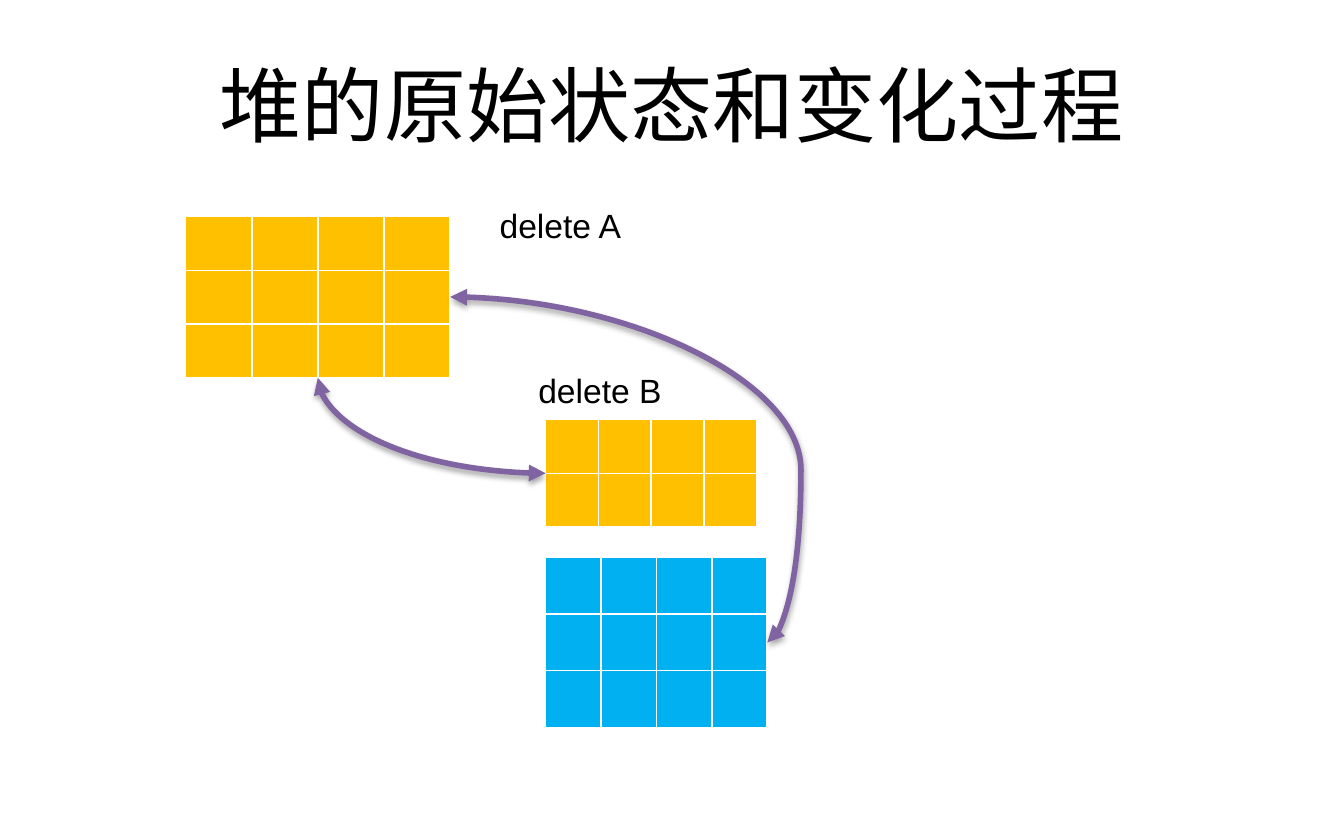
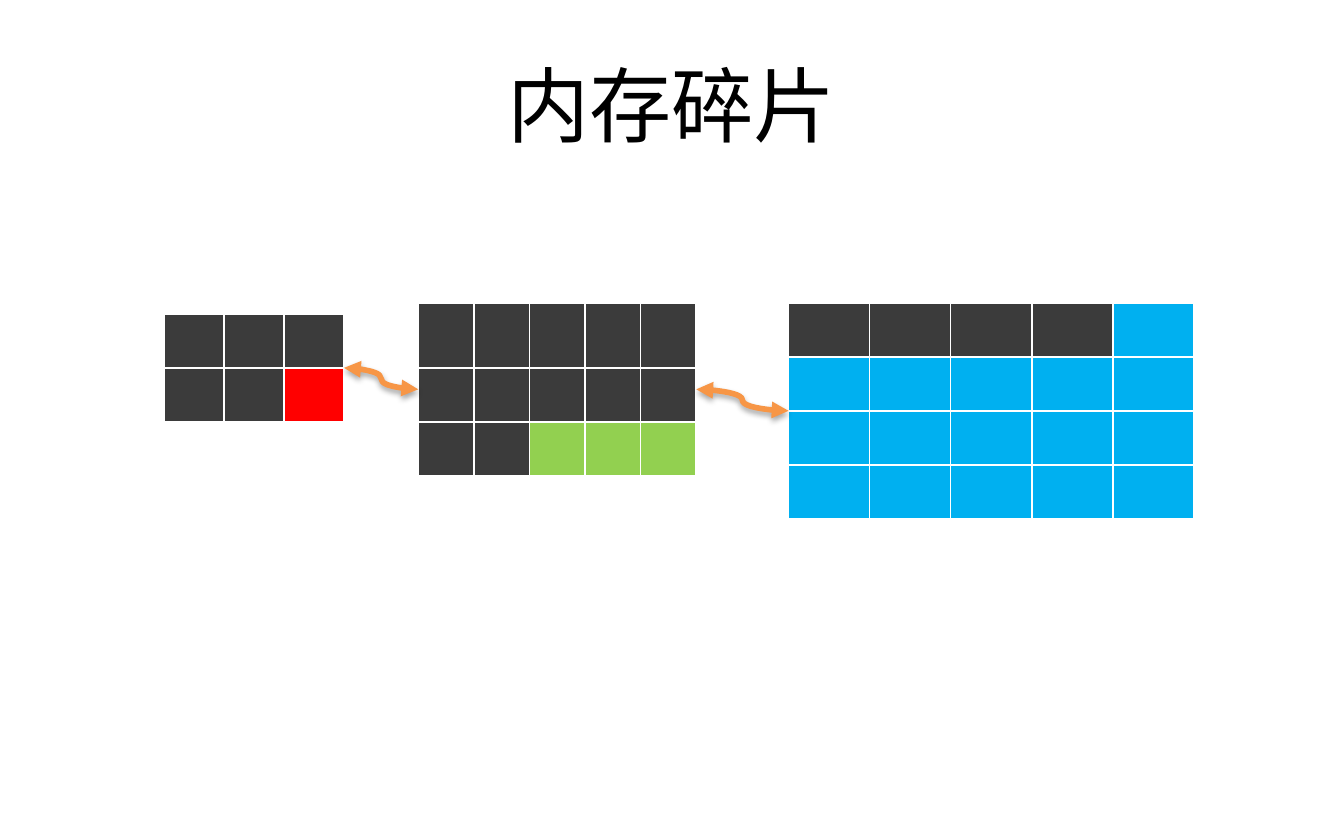
from dataclasses import dataclass

import lxml.etree
import pptx
import pptx.dml.color
import pptx.enum.shapes
import pptx.enum.text
import pptx.oxml
import pptx.oxml.ns
import pptx.slide
import pptx.util

Pt = pptx.util.Pt
qn = pptx.oxml.ns.qn


# Shared look
@dataclass(frozen=True)
class Theme:
    text: str = "000000"
    title_font: str = "Calibri"
    label_font: str = "Arial"
    title_size: float = 44
    label_size: float = 18
    link_width: float = 3
    purple: str = "8064A2"
    orange: str = "F79646"


THEME = Theme()

# One letter per memory cell
CELL_COLORS = {
    "Y": "FFC000",
    "B": "00B0F0",
    "K": "3B3B3B",
    "R": "FF0000",
    "G": "92D050",
}

SHADOW = (
    '<a:effectLst xmlns:a="http://schemas.openxmlformats.org/drawingml/2006/main">'
    '<a:outerShdw blurRad="40000" dist="23000" dir="5400000" rotWithShape="0">'
    '<a:srgbClr val="000000"><a:alpha val="35000"/></a:srgbClr>'
    "</a:outerShdw></a:effectLst>"
)


@dataclass(frozen=True)
class Block:
    """A grid of memory cells, one string per row."""
    left: float
    top: float
    width: float
    row_heights: tuple[float, ...]
    cells: tuple[str, ...]


@dataclass(frozen=True)
class Label:
    left: float
    top: float
    width: float
    text: str


@dataclass(frozen=True)
class Link:
    """A curved double arrow; a quarter link leaves downwards, arrives sideways."""
    start: tuple[float, float]
    end: tuple[float, float]
    color: str
    bend: float | None = None
    quarter: bool = False


@dataclass(frozen=True)
class Page:
    title: str
    blocks: tuple[Block, ...]
    links: tuple[Link, ...]
    labels: tuple[Label, ...] = ()


def rgb(value: str) -> pptx.dml.color.RGBColor:
    return pptx.dml.color.RGBColor.from_string(value)


def add_run(p, text: str, font: str, size: float) -> None:
    r = p.add_run()
    r.text = text
    r.font.name = font
    r.font.size = Pt(size)
    r.font.color.rgb = rgb(THEME.text)


def add_title(s: pptx.slide.Slide, text: str) -> None:
    sp = s.shapes.add_textbox(Pt(36), Pt(18), Pt(648), Pt(75))
    tf = sp.text_frame
    tf.word_wrap = True
    tf.vertical_anchor = pptx.enum.text.MSO_ANCHOR.MIDDLE
    p = tf.paragraphs[0]
    p.alignment = pptx.enum.text.PP_ALIGN.CENTER
    add_run(p, text, THEME.title_font, THEME.title_size)


def add_label(s: pptx.slide.Slide, label: Label) -> None:
    sp = s.shapes.add_textbox(Pt(label.left), Pt(label.top), Pt(label.width), Pt(29))
    tf = sp.text_frame
    tf.word_wrap = False
    tf.auto_size = pptx.enum.text.MSO_AUTO_SIZE.SHAPE_TO_FIT_TEXT
    add_run(tf.paragraphs[0], label.text, THEME.label_font, THEME.label_size)


def add_block(s: pptx.slide.Slide, block: Block) -> None:
    # The default table style supplies white rules, heavier below the first row
    columns = len(block.cells[0])
    table = s.shapes.add_table(
        len(block.cells), columns, Pt(block.left), Pt(block.top),
        Pt(block.width), Pt(sum(block.row_heights))).table
    for column in table.columns:
        column.width = Pt(block.width / columns)
    for row, height, codes in zip(table.rows, block.row_heights, block.cells):
        row.height = Pt(height)
        for cell, code in zip(row.cells, codes):
            cell.fill.solid()
            cell.fill.fore_color.rgb = rgb(CELL_COLORS[code])


def add_link(s: pptx.slide.Slide, link: Link) -> None:
    (x1, y1), (x2, y2) = link.start, link.end
    if link.quarter:
        # Frame before it is turned by 270 degrees about its centre
        cx, cy = (x1 + x2) / 2, (y1 + y2) / 2
        half_w, half_h = (y2 - y1) / 2, (x2 - x1) / 2
        x1, y1, x2, y2 = cx + half_w, cy - half_h, cx - half_w, cy + half_h
    sp = s.shapes.add_connector(
        pptx.enum.shapes.MSO_CONNECTOR.CURVE, Pt(x1), Pt(y1), Pt(x2), Pt(y2))
    sp.line.color.rgb = rgb(link.color)
    sp.line.width = Pt(THEME.link_width)
    props = sp._element.spPr
    geometry = props.find(qn("a:prstGeom"))
    if link.quarter:
        geometry.set("prst", "curvedConnector2")
        props.find(qn("a:xfrm")).set("rot", "16200000")
    if link.bend is not None:
        guide = lxml.etree.SubElement(geometry.find(qn("a:avLst")), qn("a:gd"))
        guide.set("name", "adj1")
        guide.set("fmla", f"val {round(link.bend * 100000)}")
    line = props.find(qn("a:ln"))
    for tag in ("a:headEnd", "a:tailEnd"):
        lxml.etree.SubElement(line, qn(tag)).set("type", "triangle")
    props.append(pptx.oxml.parse_xml(SHADOW))


# Content
ROW = 28.8

PAGES = (
    Page(
        "堆的原始状态和变化过程",
        blocks=(
            Block(99.4, 116, 141.8, (ROW,) * 3, ("YYYY",) * 3),
            Block(292.3, 224.8, 113, (ROW,) * 2, ("YYYY",) * 2),
            Block(292.3, 298.5, 118.8, (30.4,) * 3, ("BBBB",) * 3),
        ),
        links=(
            Link((241.2, 159.1), (411.1, 344.2), THEME.purple, bend=1.106),
            Link((170.2, 202.4), (292.3, 253.6), THEME.purple, quarter=True),
        ),
        labels=(
            Label(260.6, 106, 80, "delete A"),
            Label(281.3, 194.5, 81.4, "delete B"),
        ),
    ),
    Page(
        "内存碎片",
        blocks=(
            Block(88, 168.3, 96.3, (ROW,) * 2, ("KKK", "KKR")),
            Block(224, 162.5, 149, (34.6, ROW, ROW), ("KKKKK", "KKKKK", "KKGGG")),
            Block(422.4, 162.5, 217.3, (ROW,) * 4, ("KKKKB",) + ("BBBBB",) * 3),
        ),
        links=(
            Link((184.3, 197.1), (224, 208.6), THEME.orange),
            Link((373, 208.6), (422.4, 220.1), THEME.orange),
        ),
    ),
)


def main() -> None:
    prs = pptx.Presentation()
    prs.slide_width, prs.slide_height = Pt(720), Pt(450)
    for page in PAGES:
        s = prs.slides.add_slide(prs.slide_layouts[6])
        add_title(s, page.title)
        for block in page.blocks:
            add_block(s, block)
        for link in page.links:
            add_link(s, link)
        for label in page.labels:
            add_label(s, label)
    prs.save("out.pptx")


if __name__ == "__main__":
    main()
